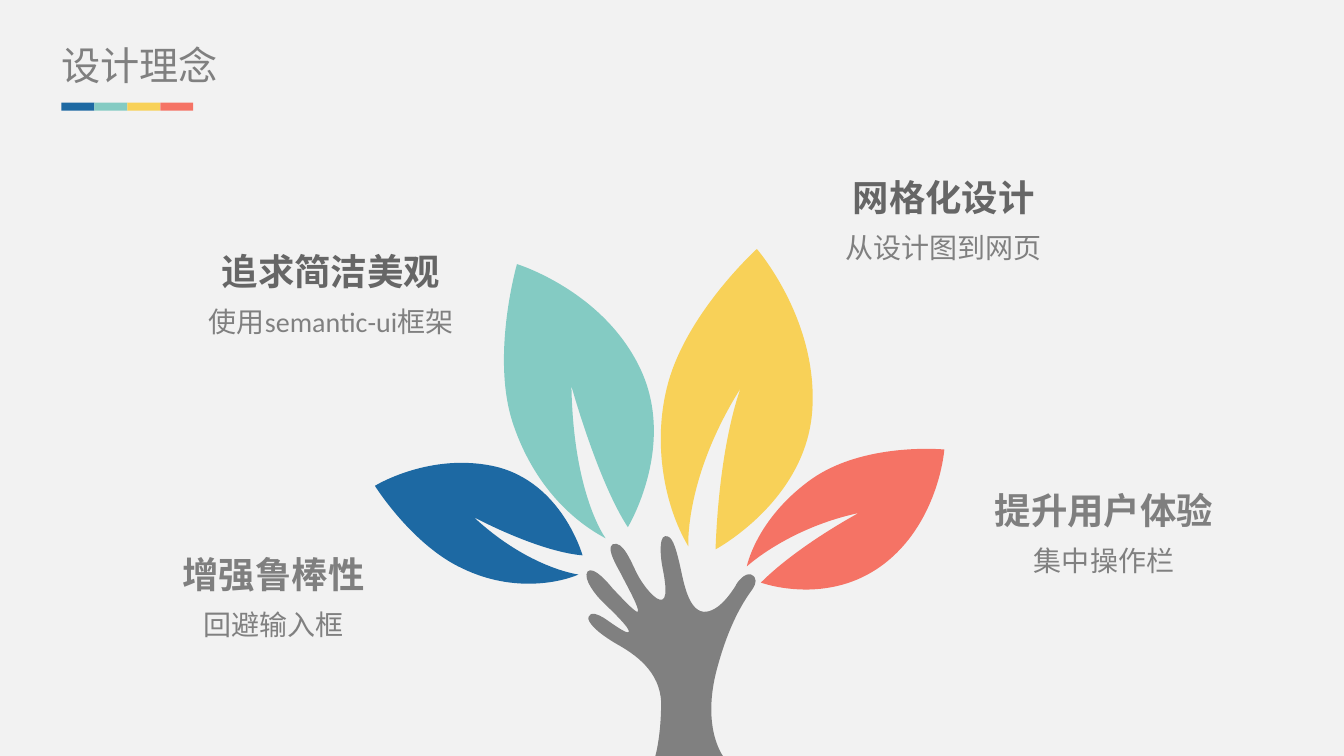
from dataclasses import dataclass

from pptx import Presentation
from pptx.dml.color import RGBColor
from pptx.enum.shapes import MSO_SHAPE
from pptx.enum.text import MSO_AUTO_SIZE, PP_ALIGN
from pptx.oxml.ns import qn
from pptx.oxml.xmlchemy import OxmlElement
from pptx.util import Cm, Pt

RECTANGLE = MSO_SHAPE.RECTANGLE
CENTER = PP_ALIGN.CENTER
LEFT = PP_ALIGN.LEFT
GROW = MSO_AUTO_SIZE.SHAPE_TO_FIT_TEXT


@dataclass(frozen=True)
class Theme:
    background: str = "F2F2F2"
    blue: str = "1D69A3"
    teal: str = "84CBC3"
    yellow: str = "F8D158"
    coral: str = "F57365"
    gray: str = "808080"
    light_heading: str = "7F7F7F"
    dark_heading: str = "666666"
    title_size: int = 28
    heading_size: int = 26
    detail_size: int = 20
    latin_font: str = "Calibri"
    chinese_font: str = "Noto Sans CJK SC"


THEME = Theme()
OUTLINE_UNIT = Cm(2.54) / 100

HAND = [
    (650, 751), (718, 751, 718, 751, 718, 751),
    (718, 751, 697, 725, 710, 669), (724, 613, 743, 590, 747, 584),
    (750, 579, 752, 573, 745, 570), (739, 568, 731, 578, 730, 581),
    (728, 584, 714, 608, 698, 607), (682, 605, 678, 575, 674, 558),
    (670, 542, 667, 531, 660, 532), (653, 533, 656, 556, 657, 561),
    (658, 567, 664, 593, 657, 595), (651, 597, 638, 581, 632, 569),
    (626, 557, 618, 536, 608, 540), (600, 544, 616, 568, 618, 573),
    (621, 579, 635, 604, 633, 607), (631, 609, 613, 589, 608, 584),
    (604, 579, 589, 561, 583, 567), (578, 574, 591, 591, 600, 599),
    (609, 608, 625, 623, 624, 627), (622, 630, 604, 616, 599, 613),
    (594, 610, 586, 606, 584, 612), (582, 617, 593, 628, 612, 639),
    (630, 649, 655, 666, 656, 697), (656, 728, 651, 748, 650, 751),
]
CORAL_LEAF = [
    (755, 578), (755, 578, 836, 608, 895, 543), (933, 501, 937, 446, 937, 446),
    (937, 446, 856, 438, 803, 477), (750, 516, 741, 562, 741, 562),
    (741, 562, 782, 524, 852, 509), (852, 509, 792, 541, 755, 578),
]
YELLOW_LEAF = [
    (710, 545), (710, 545, 800, 497, 806, 407), (812, 317, 751, 247, 751, 247),
    (751, 247, 687, 305, 665, 373), (646, 433, 658, 500, 683, 542),
    (683, 542, 679, 474, 735, 385), (735, 385, 714, 437, 710, 545),
]
TEAL_LEAF = [
    (623, 523), (623, 523, 672, 442, 635, 365), (598, 288, 513, 262, 513, 262),
    (513, 262, 486, 356, 510, 423), (533, 489, 576, 521, 601, 534),
    (601, 534, 569, 492, 567, 383), (567, 383, 593, 477, 623, 523),
]
BLUE_LEAF = [
    (578, 551), (578, 551, 558, 479, 492, 463), (427, 448, 372, 482, 372, 482),
    (372, 482, 409, 541, 459, 564), (511, 589, 558, 577, 574, 570),
    (574, 570, 525, 564, 470, 513), (470, 513, 533, 547, 578, 551),
]
TREE = [
    (HAND, THEME.gray),
    (CORAL_LEAF, THEME.coral),
    (YELLOW_LEAF, THEME.yellow),
    (TEAL_LEAF, THEME.teal),
    (BLUE_LEAF, THEME.blue),
]
CAPTIONS = [
    (3.48, 13.69, "增强鲁棒性", "回避输入框", THEME.light_heading),
    (4.93, 6.05, "追求简洁美观", "使用semantic-ui框架", THEME.dark_heading),
    (20.37, 4.19, "网格化设计", "从设计图到网页", THEME.dark_heading),
    (24.41, 12.07, "提升用户体验", "集中操作栏", THEME.light_heading),
]


def paint(shape, color):
    shape.shadow.inherit = False
    shape.fill.solid()
    shape.fill.fore_color.rgb = RGBColor.from_string(color)
    shape.line.fill.background()


def bend_segments(shape):
    segments = list(shape._element.iter(qn("a:lnTo")))
    for first in range(0, len(segments), 3):
        curve = OxmlElement("a:cubicBezTo")
        segments[first].addprevious(curve)
        for segment in segments[first:first + 3]:
            curve.append(segment[0])
            segment.getparent().remove(segment)


def add_outline(slide, outline, color):
    start, *curves = outline
    builder = slide.shapes.build_freeform(*start, scale=OUTLINE_UNIT)
    for curve in curves:
        builder.add_line_segments(zip(curve[::2], curve[1::2]), close=False)
    builder.add_line_segments([], close=True)
    shape = builder.convert_to_shape()
    bend_segments(shape)
    paint(shape, color)


def add_text_frame(slide, left, top, width, height):
    frame = slide.shapes.add_textbox(Cm(left), Cm(top), Cm(width), Cm(height)).text_frame
    frame.margin_left = frame.margin_right = frame.margin_top = frame.margin_bottom = 0
    frame.word_wrap = True
    frame.auto_size = GROW
    return frame


def write(paragraph, text, size, color, font, bold=False, align=LEFT):
    paragraph.text = text
    paragraph.alignment = align
    paragraph.font.size = Pt(size)
    paragraph.font.bold = bold
    paragraph.font.color.rgb = RGBColor.from_string(color)
    paragraph.font.name = font
    east_asian = OxmlElement("a:ea")
    east_asian.set("typeface", THEME.chinese_font)
    paragraph._p.find(".//" + qn("a:latin")).addnext(east_asian)


def add_caption(slide, left, top, heading, detail, heading_color):
    frame = add_text_frame(slide, left, top, 6.83, 2.41)
    lines = [
        (frame.paragraphs[0], heading, THEME.heading_size, heading_color, True),
        (frame.add_paragraph(), detail, THEME.detail_size, THEME.gray, False),
    ]
    for paragraph, text, size, color, bold in lines:
        write(paragraph, text, size, color, THEME.latin_font, bold, CENTER)
        paragraph.line_spacing = 1.2
        paragraph.space_before = Pt(4)


def add_title(slide, text):
    frame = add_text_frame(slide, 1.55, 1.04, 10.29, 1.19)
    write(frame.paragraphs[0], text, THEME.title_size, THEME.gray, THEME.chinese_font)


def add_color_strip(slide, left, top, width, height):
    colors = (THEME.blue, THEME.teal, THEME.yellow, THEME.coral)
    for index, color in enumerate(colors):
        band = slide.shapes.add_shape(
            RECTANGLE, Cm(left + index * width), Cm(top), Cm(width), Cm(height)
        )
        paint(band, color)


def main():
    deck = Presentation()
    deck.slide_width, deck.slide_height = Cm(33.87), Cm(19.05)
    slide = deck.slides.add_slide(deck.slide_layouts[6])
    slide.background.fill.solid()
    slide.background.fill.fore_color.rgb = RGBColor.from_string(THEME.background)
    for outline, color in TREE:
        add_outline(slide, outline, color)
    for caption in CAPTIONS:
        add_caption(slide, *caption)
    add_title(slide, "设计理念")
    add_color_strip(slide, 1.55, 2.59, 0.83, 0.2)
    deck.save("out.pptx")


main()
